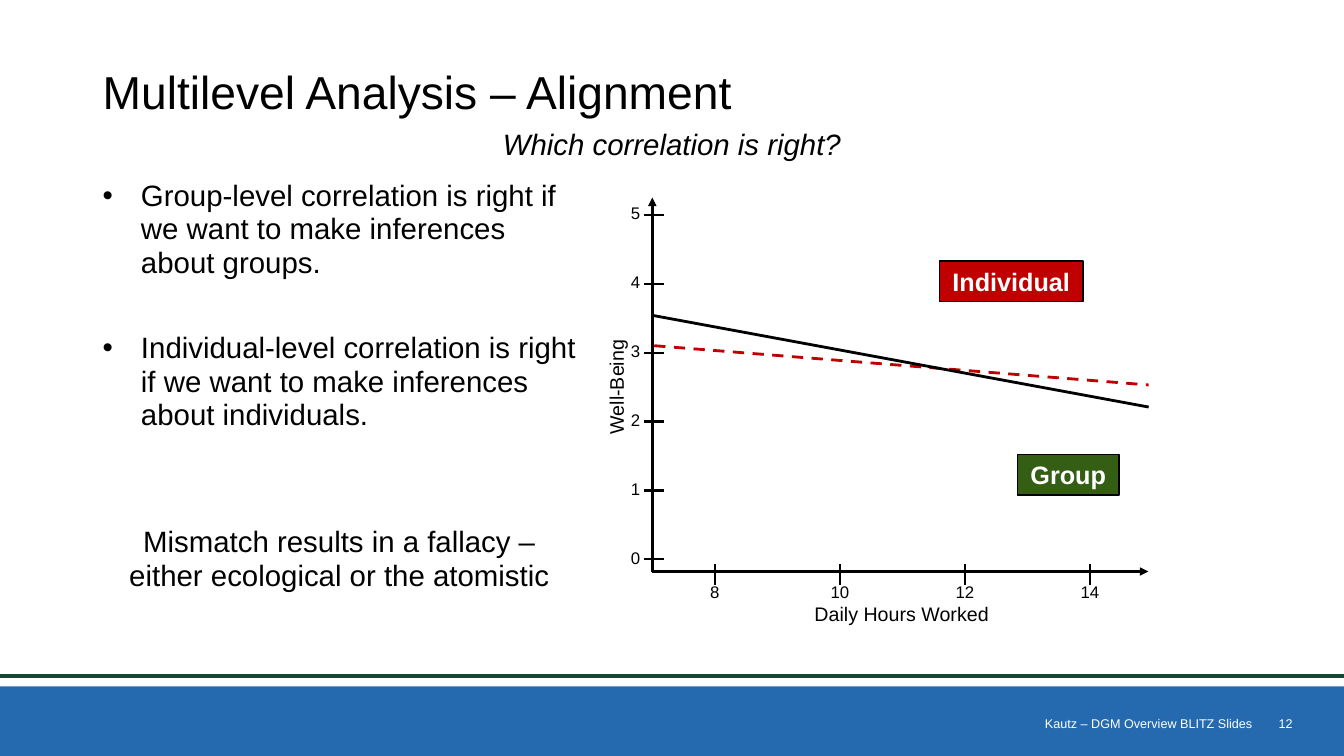
"""Build the multilevel analysis slide on alignment of correlations."""
from lxml import etree
from pptx import Presentation
from pptx import util as u
from pptx.dml.color import RGBColor
from pptx.enum import dml, shapes, text
from pptx.oxml.ns import qn

C = {"black": "000000", "white": "FFFFFF", "blue": "256AAF",
     "pine": "154734", "red": "C00000", "green": "345E14"}
FONT = "Arial"
W, H = 13.33, 7.5

TITLE = "Multilevel Analysis – Alignment"
QUESTION = "Which correlation is right?"
POINTS = [
    ("Group-level correlation is right if we want to make inferences about groups.", True, 0),
    ("Individual-level correlation is right if we want to make inferences about individuals.", True, 37),
    ("Mismatch results in a fallacy – either ecological or the atomistic", False, 67),
]
X_TITLE, Y_TITLE = "Daily Hours Worked", "Well-Being"
HOURS, SCORES = (8, 10, 12, 14), range(6)
TRENDS = [((7.03, 3.10), (14.94, 2.53), "red", True),
          ((7, 3.54), (14.94, 2.21), "black", False)]
TAGS = [("Group", (10.09, 4.51, 1.01, 0.4), "green"),
        ("Individual", (9.32, 2.59, 1.42, 0.4), "red")]
FOOTER, NUMBER = "Kautz – DGM Overview BLITZ Slides", "12"

AXIS_X, AXIS_Y, AXIS_TOP, AXIS_END = 6.47, 5.67, 1.96, 11.39
HOUR_STEP, SCORE_STEP, ZERO_Y = 0.62, 0.684, 5.55
TICK = 0.2

LEFT, CENTER, RIGHT = text.PP_ALIGN.LEFT, text.PP_ALIGN.CENTER, text.PP_ALIGN.RIGHT
TOP, MIDDLE = text.MSO_ANCHOR.TOP, text.MSO_ANCHOR.MIDDLE

prs = Presentation()
prs.slide_width, prs.slide_height = u.Inches(W), u.Inches(H)
s = prs.slides.add_slide(prs.slide_layouts[6])


def rgb(name):
    return RGBColor.from_string(C[name])


def hour_x(hour):
    return AXIS_X + (hour - 7) * HOUR_STEP


def score_y(score):
    return ZERO_Y - score * SCORE_STEP


def add_run(p, words, size, color="black", bold=False, italic=False):
    r = p.add_run()
    r.text = words
    r.font.name, r.font.size = FONT, u.Pt(size)
    r.font.bold, r.font.italic = bold, italic
    r.font.color.rgb = rgb(color)


def add_text(words, box, size, align=LEFT, anchor=TOP, **style):
    sp = s.shapes.add_textbox(*map(u.Inches, box))
    tf = sp.text_frame
    tf.word_wrap, tf.vertical_anchor = True, anchor
    p = tf.paragraphs[0]
    p.alignment = align
    add_run(p, words, size, **style)
    return sp


def add_rect(box, fill, line=None):
    sp = s.shapes.add_shape(shapes.MSO_SHAPE.RECTANGLE, *map(u.Inches, box))
    sp.shadow.inherit = False
    sp.fill.solid()
    sp.fill.fore_color.rgb = rgb(fill)
    if line:
        sp.line.color.rgb, sp.line.width = rgb(line), u.Pt(1)
    else:
        sp.line.fill.background()
    return sp


def add_line(start, end, width, color="black", dash=False, arrow=False):
    sp = s.shapes.add_connector(shapes.MSO_CONNECTOR.STRAIGHT,
                                *map(u.Inches, (*start, *end)))
    sp.line.color.rgb, sp.line.width = rgb(color), u.Pt(width)
    if dash:
        sp.line.dash_style = dml.MSO_LINE.DASH
    if arrow:
        etree.SubElement(sp.line._get_or_add_ln(), qn("a:tailEnd"), type="triangle")
    etree.SubElement(sp._element.spPr, qn("a:effectLst"))


def add_points(box):
    sp = s.shapes.add_textbox(*map(u.Inches, box))
    tf = sp.text_frame
    tf.word_wrap = True
    for i, (words, bullet, gap) in enumerate(POINTS):
        p = tf.add_paragraph() if i else tf.paragraphs[0]
        p.line_spacing, p.space_before = 0.95, u.Pt(gap)
        p.alignment = LEFT if bullet else CENTER
        if bullet:
            pPr = p._p.get_or_add_pPr()
            pPr.set("marL", str(u.Inches(0.38)))
            pPr.set("indent", str(-u.Inches(0.38)))
            etree.SubElement(pPr, qn("a:buFont"), typeface=FONT)
            etree.SubElement(pPr, qn("a:buChar"), char="•")
        add_run(p, words, 21)


add_rect((0, 6.81, W, H - 6.81), "blue")
add_line((0, 6.71), (W, 6.71), 3, "pine")
add_text(TITLE, (0.92, 0.27, 11.5, 1.27), 33, anchor=MIDDLE)
add_text(QUESTION, (1.61, 1.2, 10.11, 0.45), 21, CENTER, italic=True)

for tip in ((AXIS_X, AXIS_TOP), (AXIS_END, AXIS_Y)):
    add_line((AXIS_X, AXIS_Y), tip, 2, arrow=True)
for hour in HOURS:
    x = hour_x(hour)
    add_line((x, 5.6), (x, 5.6 + TICK), 1.5)
    add_text(str(hour), (x - 0.2, 5.72, 0.4, 0.3), 12, CENTER)
for score in SCORES:
    y = score_y(score)
    add_line((6.39, y), (6.39 + TICK, y), 1.5)
    add_text(str(score), (6.16, y - 0.17, 0.27, 0.3), 12)
add_text(X_TITLE, (7.98, 5.92, 1.97, 0.34), 14)
add_text(Y_TITLE, (5.13, 3.67, 1.97, 0.34), 14, CENTER).rotation = 270

for start, end, color, dash in TRENDS:
    ends = [(hour_x(hour), score_y(score)) for hour, score in (start, end)]
    add_line(*ends, 2, color, dash)
for words, box, fill in TAGS:
    tf = add_rect(box, fill, "black").text_frame
    tf.word_wrap = False
    p = tf.paragraphs[0]
    p.alignment = CENTER
    add_run(p, words, 18, "white", bold=True)

add_points((0.92, 1.73, 4.89, 4.77))
add_text(NUMBER, (12.42, 7.07, 0.5, 0.21), 9, RIGHT, MIDDLE, color="white")
footer = add_text(FOOTER, (4.42, 7.07, 8, 0.21), 9, RIGHT, MIDDLE, color="white")
footer.text_frame.margin_right = 0

prs.save("out.pptx")
